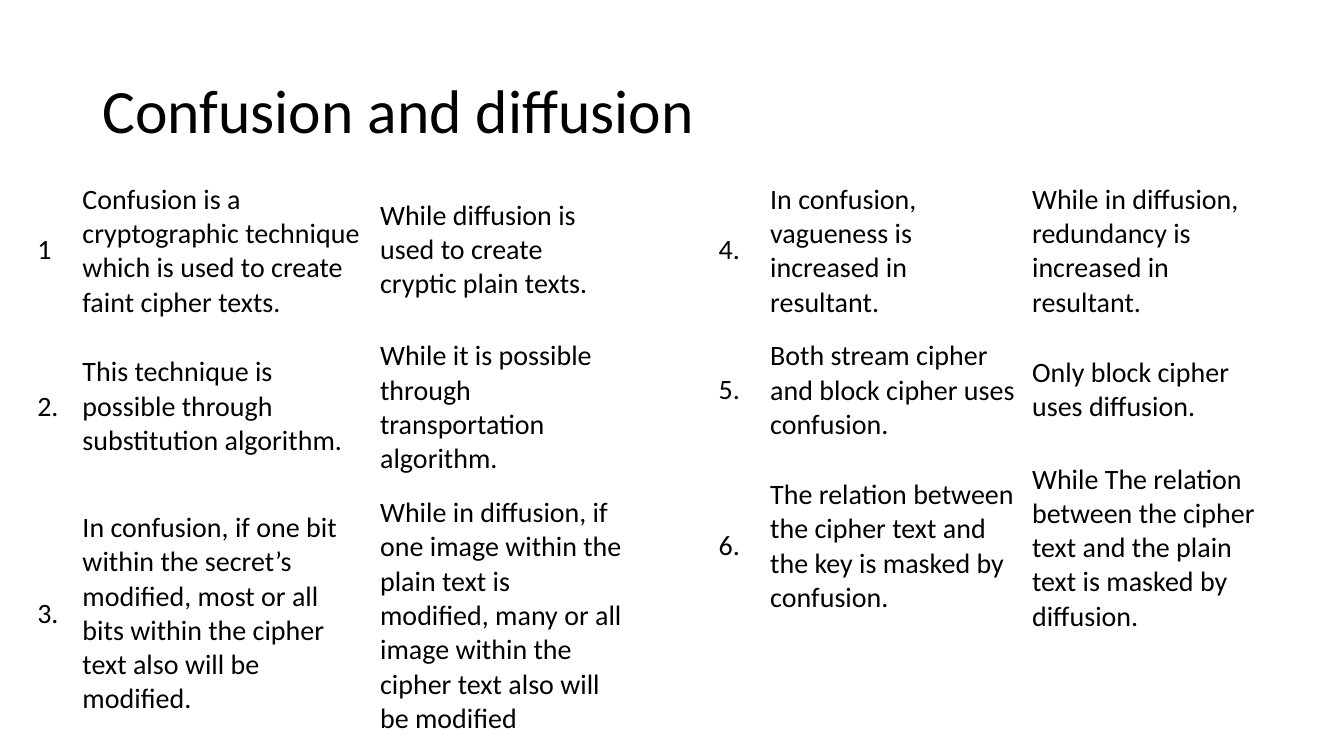
from pptx import Presentation
from pptx.dml.color import RGBColor
from pptx.enum.text import MSO_ANCHOR
from pptx.util import Cm, Pt

BLACK = RGBColor(0x00, 0x00, 0x00)
WHITE = RGBColor(0xFF, 0xFF, 0xFF)
FONT = "Calibri"

TITLE = "Confusion and diffusion"
TABLES = [
    {
        "left": 0.74,
        "widths": [1.14, 7.5, 6.58],
        "heights": [2.95, 2.39, 4.04],
        "fill": None,
        "rows": [
            ("1", "Confusion is a cryptographic technique which is used to create faint cipher texts.",
             "While diffusion is used to create cryptic plain texts."),
            ("2.", "This technique is possible through substitution algorithm.",
             "While it is possible through transportation algorithm."),
            ("3.", "In confusion, if one bit within the secret’s modified, most or all bits "
             "within the cipher text also will be modified.",
             "While in diffusion, if one image within the plain text is modified, many or all image "
             "within the cipher text also will be modified"),
        ],
    },
    {
        "left": 17.91,
        "widths": [1.3, 6.6, 6.55],
        "heights": [2.39, 2.39, 2.95],
        "fill": WHITE,
        "rows": [
            ("4.", "In confusion, vagueness is increased in resultant.",
             "While in diffusion, redundancy is increased in resultant."),
            ("5.", "Both stream cipher and block cipher uses confusion.",
             "Only block cipher uses diffusion."),
            ("6.", "The relation between the cipher text and the key is masked by confusion.",
             "While The relation between the cipher text and the plain text is masked by diffusion."),
        ],
    },
]
TABLE_TOP = 4.32


def write(tf, text, size):
    tf.word_wrap = True
    p = tf.paragraphs[0]
    p.text = text
    font = p.runs[0].font
    font.name, font.size, font.color.rgb = FONT, Pt(size), BLACK
    return p


def add_title(slide):
    tf = slide.shapes.add_textbox(Cm(2.33), Cm(1.02), Cm(29.21), Cm(3.68)).text_frame
    tf.vertical_anchor = MSO_ANCHOR.MIDDLE
    write(tf, TITLE, 44).line_spacing = 0.9


def fill_cell(cell, text, color):
    cell.margin_left = cell.margin_right = Cm(0.2)
    cell.margin_top = cell.margin_bottom = Cm(0.28)
    cell.vertical_anchor = MSO_ANCHOR.MIDDLE
    if color is None:
        cell.fill.background()
    else:
        cell.fill.solid()
        cell.fill.fore_color.rgb = color
    write(cell.text_frame, text, 20)


def add_comparison(slide, data):
    widths, heights, rows = data["widths"], data["heights"], data["rows"]
    table = slide.shapes.add_table(
        len(rows), len(widths), Cm(data["left"]), Cm(TABLE_TOP),
        Cm(sum(widths)), Cm(sum(heights))).table
    table.first_row = table.horz_banding = False
    for column, width in zip(table.columns, widths):
        column.width = Cm(width)
    for row, height, texts in zip(table.rows, heights, rows):
        row.height = Cm(height)
        for cell, text in zip(row.cells, texts):
            fill_cell(cell, text, data["fill"])


def main():
    prs = Presentation()
    prs.slide_width, prs.slide_height = Cm(33.87), Cm(19.05)
    slide = prs.slides.add_slide(prs.slide_layouts[6])
    add_title(slide)
    for data in TABLES:
        add_comparison(slide, data)
    prs.save("out.pptx")


if __name__ == "__main__":
    main()
